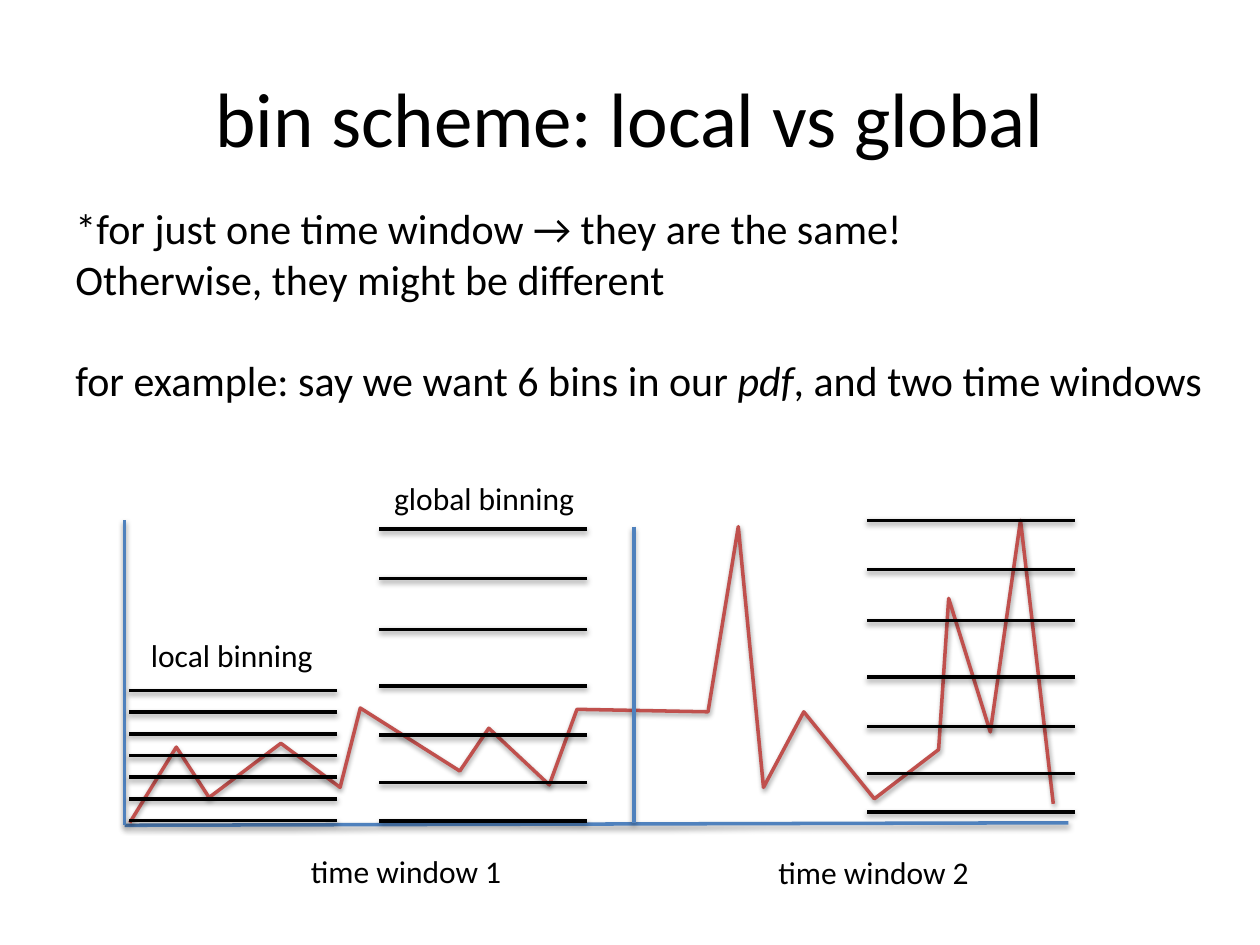
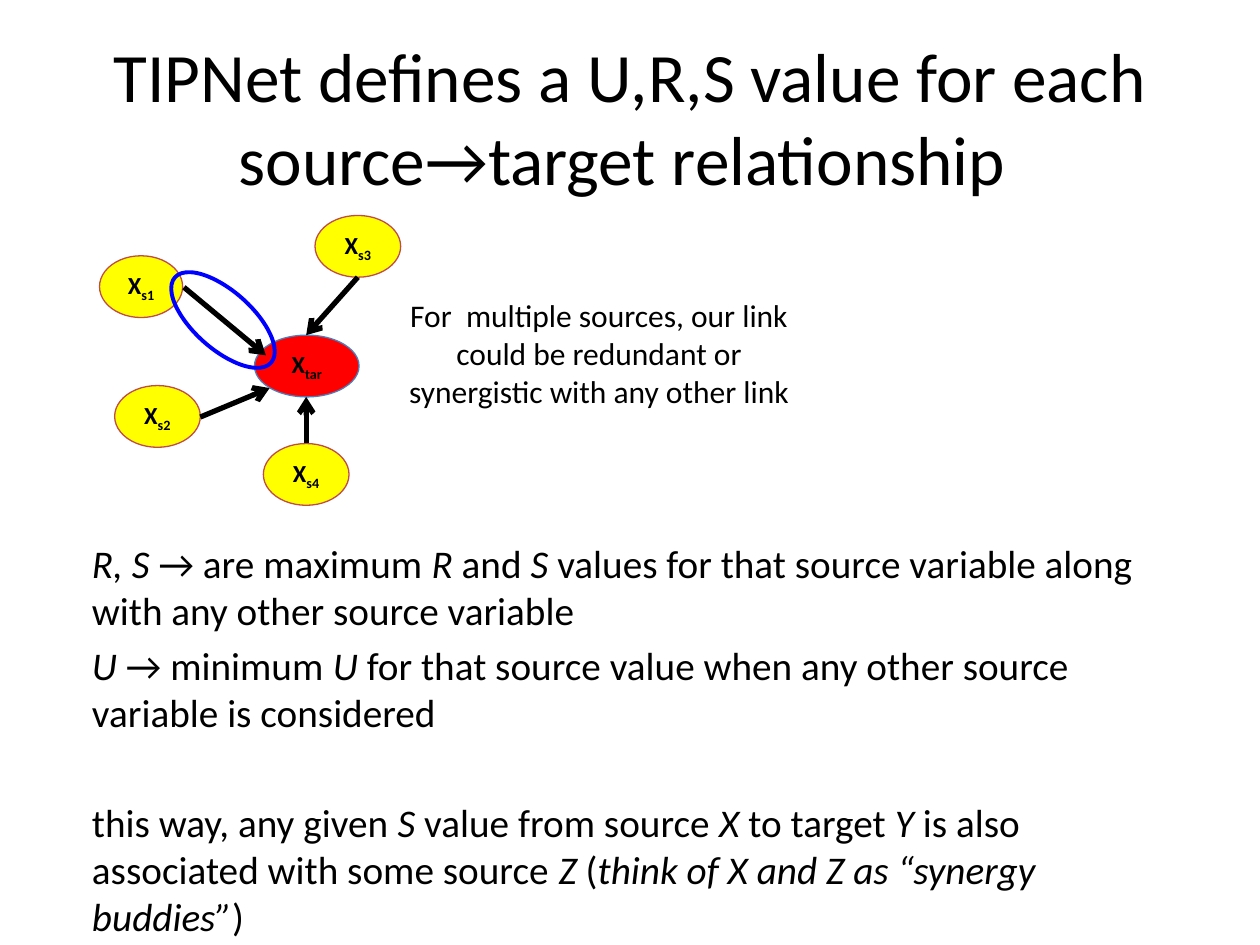
from lxml import etree
from pptx import Presentation
from pptx.dml.color import RGBColor
from pptx.enum.shapes import MSO_CONNECTOR, MSO_SHAPE
from pptx.enum.text import MSO_ANCHOR, MSO_AUTO_SIZE, PP_ALIGN
from pptx.oxml.ns import qn
from pptx.util import Inches, Pt

STRAIGHT = MSO_CONNECTOR.STRAIGHT
ELLIPSE = MSO_SHAPE.OVAL
CENTER, LEFT = PP_ALIGN.CENTER, PP_ALIGN.LEFT
MIDDLE = MSO_ANCHOR.MIDDLE
NO_FIT = MSO_AUTO_SIZE.NONE

BLACK = RGBColor(0x00, 0x00, 0x00)
AXIS_BLUE = RGBColor(0x4F, 0x81, 0xBD)
SERIES_RED = RGBColor(0xC0, 0x50, 0x4D)
TARGET_RED = RGBColor(0xFF, 0x00, 0x00)
TARGET_EDGE = RGBColor(0x4B, 0x7E, 0xBC)
SOURCE_YELLOW = RGBColor(0xFF, 0xFF, 0x00)
SOURCE_EDGE = RGBColor(0xBF, 0x4C, 0x48)
HIGHLIGHT_BLUE = RGBColor(0x00, 0x00, 0xFF)

FONT = "Calibri"
# The page is a grid of 100 columns by 75 rows
PAGE_WIDTH, PAGE_HEIGHT = Inches(10), Inches(7.5)
COLUMN, ROW = PAGE_WIDTH / 100, PAGE_HEIGHT / 75
TITLE_AREA = (5, 3, 90, 12.5)
TITLE_ONLY, TITLE_AND_BODY = 5, 1

# Time series and its bins, in grid units
SERIES = [(10.3, 65.3), (14, 59.3), (16.6, 63.3), (22.3, 59), (27, 62.5),
          (28.6, 56.2), (36.5, 61.2), (38.8, 57.8), (43.6, 62.3),
          (45.8, 56.3), (56.2, 56.5), (58.6, 41.8), (60.6, 62.5),
          (63.8, 56.5), (69.4, 63.4), (74.5, 59.5), (75.3, 47.5),
          (78.6, 58.1), (81, 41.3), (83.6, 63.8)]
AXES = [((9.9, 65.5), (84.8, 65.3)), ((9.9, 65.5), (9.9, 41.3)),
        ((50.3, 41.8), (50.3, 65.3))]
BIN_WIDTH = 16.5
LOCAL_BINS = [1.72 * step for step in range(7)]
GLOBAL_BINS = [0, 3.9, 7.95, 12.45, 16.35, 20.1, 23.15]
BIN_SETS = [(10.25, 54.8, LOCAL_BINS), (30.1, 42, GLOBAL_BINS),
            (68.8, 41.3, GLOBAL_BINS)]
CHART_LABELS = [("time window 1", (23.7, 67.1, 17.7, 4)),
                ("time window 2", (60.8, 67.2, 17.3, 4)),
                ("local binning", (11, 50, 15, 4)),
                ("global binning", (30.3, 37.5, 16.5, 4))]

# Text: underscores enclose italics; each paragraph has its space before
BINNING_TEXT = [
    ("*for just one time window → they are the same!", 0),
    ("Otherwise, they might be different", 0),
    ("for example: say we want 6 bins in our _pdf_, and two time windows", 29)]
RELATION_TEXT = [
    ("_R, S _→ are maximum _R_ and _S_ values for that source variable "
     "along with any other source variable", 0),
    ("_U_ → minimum _U_ for that source value when any other source "
     "variable is considered", 4.5),
    ("this way, any given _S_ value from source _X_ to target _Y_ is also "
     "associated with some source _Z_ (_think of X and Z as “synergy "
     "buddies”_)", 36)]

# Network: subscript, area, fill, edge
NODES = [("tar", (20.2, 26.6, 8.3, 4.9), TARGET_RED, TARGET_EDGE),
         ("s1", (7.9, 20.3, 6.6, 4.9), SOURCE_YELLOW, SOURCE_EDGE),
         ("s2", (9.1, 30.6, 6.8, 4.9), SOURCE_YELLOW, SOURCE_EDGE),
         ("s3", (25, 17.1, 6.8, 4.9), SOURCE_YELLOW, SOURCE_EDGE),
         ("s4", (20.9, 35.2, 6.8, 4.9), SOURCE_YELLOW, SOURCE_EDGE)]
LINKS = [((15.9, 33.1), (21.4, 30.8)), ((28.4, 22), (24.3, 26.6)),
         ((14.6, 22.8), (21.1, 28.2)), ((24.3, 35.2), (24.3, 31.5))]


def point(column, row):
    return round(column * COLUMN), round(row * ROW)


def area(left, top, width, height):
    return point(left, top) + point(width, height)


def place(shape, grid_area):
    names = ("left", "top", "width", "height")
    for name, value in zip(names, area(*grid_area)):
        setattr(shape, name, value)


def add_span(para, text, size, **extra):
    span = para.add_run()
    span.text = text
    formats = {"name": FONT, "size": Pt(size), **extra}
    for name, value in formats.items():
        setattr(span.font, name, value)
    span.font.color.rgb = BLACK
    return span


def write(box, paragraphs, size, align=LEFT):
    """Fill a box with (marked text, space before) paragraphs."""
    frame = box.text_frame
    frame.auto_size = NO_FIT
    for index, (text, before) in enumerate(paragraphs):
        para = frame.add_paragraph() if index else frame.paragraphs[0]
        para.alignment = align
        para.space_before = Pt(before)
        for number, part in enumerate(text.split("_")):
            if part:
                add_span(para, part, size, italic=number % 2 == 1)


def add_text(page, grid_area, paragraphs, size, align=LEFT, wrap=True):
    box = page.shapes.add_textbox(*area(*grid_area))
    box.text_frame.word_wrap = wrap
    write(box, paragraphs, size, align)


def add_page(deck, layout, title, size):
    page = deck.slides.add_slide(deck.slide_layouts[layout])
    place(page.shapes.title, TITLE_AREA)
    page.shapes.title.text_frame.vertical_anchor = MIDDLE
    write(page.shapes.title, [(title, 0)], size, CENTER)
    return page


def fill_body(page, grid_area, paragraphs, size):
    body = page.placeholders[1]
    place(body, grid_area)
    write(body, paragraphs, size)
    for para in body.text_frame.paragraphs:
        properties = para._p.get_or_add_pPr()
        for name in ("marL", "indent"):
            properties.set(name, "0")
        etree.SubElement(properties, qn("a:buNone"))


def style_line(shape, color, width):
    shape.line.color.rgb = color
    shape.line.width = Pt(width)


def set_effects(shape, shadow):
    """Give a line an explicit soft shadow, or none."""
    effects = etree.SubElement(shape._element.spPr, qn("a:effectLst"))
    if shadow:
        outer = etree.SubElement(effects, qn("a:outerShdw"), blurRad=str(Pt(3.1)),
                                 dist=str(Pt(1.6)), dir="5400000", rotWithShape="0")
        color = etree.SubElement(outer, qn("a:srgbClr"), val=str(BLACK))
        etree.SubElement(color, qn("a:alpha"), val="38000")


def add_line(page, start, end, color, width=2, shadow=True):
    line = page.shapes.add_connector(STRAIGHT, *point(*start), *point(*end))
    style_line(line, color, width)
    set_effects(line, shadow)
    return line


def add_arrow(page, start, end):
    arrow = add_line(page, start, end, BLACK, 3, shadow=False)
    etree.SubElement(arrow.line._get_or_add_ln(), qn("a:tailEnd"), type="arrow")


def add_series(page, points):
    builder = page.shapes.build_freeform(*point(*points[0]))
    builder.add_line_segments([point(*spot) for spot in points[1:]], close=False)
    series = builder.convert_to_shape()
    series.fill.background()
    style_line(series, SERIES_RED, 2)
    set_effects(series, shadow=True)


def add_bins(page, left, top, offsets):
    for offset in offsets:
        row = top + offset
        add_line(page, (left + BIN_WIDTH, row), (left, row), BLACK)


def add_ellipse(page, grid_area, edge, width):
    ellipse = page.shapes.add_shape(ELLIPSE, *area(*grid_area))
    ellipse.shadow.inherit = False
    style_line(ellipse, edge, width)
    return ellipse


def add_node(page, subscript, grid_area, fill, edge):
    node = add_ellipse(page, grid_area, edge, 0.75)
    node.fill.solid()
    node.fill.fore_color.rgb = fill
    frame = node.text_frame
    frame.vertical_anchor = MIDDLE
    for side in ("left", "right", "top", "bottom"):
        setattr(frame, f"margin_{side}", 0)
    para = frame.paragraphs[0]
    para.alignment = CENTER
    add_span(para, "X", 14, bold=True)
    span = add_span(para, subscript, 14, bold=True)
    span._r.get_or_add_rPr().set("baseline", "-25000")


def build_binning_page(deck):
    page = add_page(deck, TITLE_ONLY, "bin scheme: local vs global", 44)
    # Axes, window divider and series
    for start, end in AXES[:2]:
        add_line(page, start, end, AXIS_BLUE)
    add_series(page, SERIES)
    add_line(page, *AXES[2], AXIS_BLUE)
    for bin_set in BIN_SETS:
        add_bins(page, *bin_set)
    # Text
    add_text(page, (5, 15.6, 92.2, 17.2), BINNING_TEXT, 24)
    for label, grid_area in CHART_LABELS:
        add_text(page, grid_area, [(label, 0)], 18, wrap=False)


def build_relation_page(deck):
    title = "TIPNet defines a U,R,S value for each source→target relationship "
    page = add_page(deck, TITLE_AND_BODY, title, 39.6)
    fill_body(page, (6.3, 42.3, 88.7, 27.1), RELATION_TEXT, 22.4)
    # Network of sources around the target
    for node in NODES:
        add_node(page, *node)
    for start, end in LINKS:
        add_arrow(page, start, end)
    note = ("For  multiple sources, our link could be redundant or "
            "synergistic with any other link")
    add_text(page, (31.4, 23, 32.3, 13.1), [(note, 0)], 18, CENTER)
    # Ring around the link of interest
    ring = add_ellipse(page, (15.4, 20.3, 4.6, 10.2), HIGHLIGHT_BLUE, 2.25)
    ring.fill.background()
    ring.rotation = 311.6


def main():
    deck = Presentation()
    deck.slide_width, deck.slide_height = PAGE_WIDTH, PAGE_HEIGHT
    build_binning_page(deck)
    build_relation_page(deck)
    deck.save("out.pptx")


if __name__ == "__main__":
    main()
